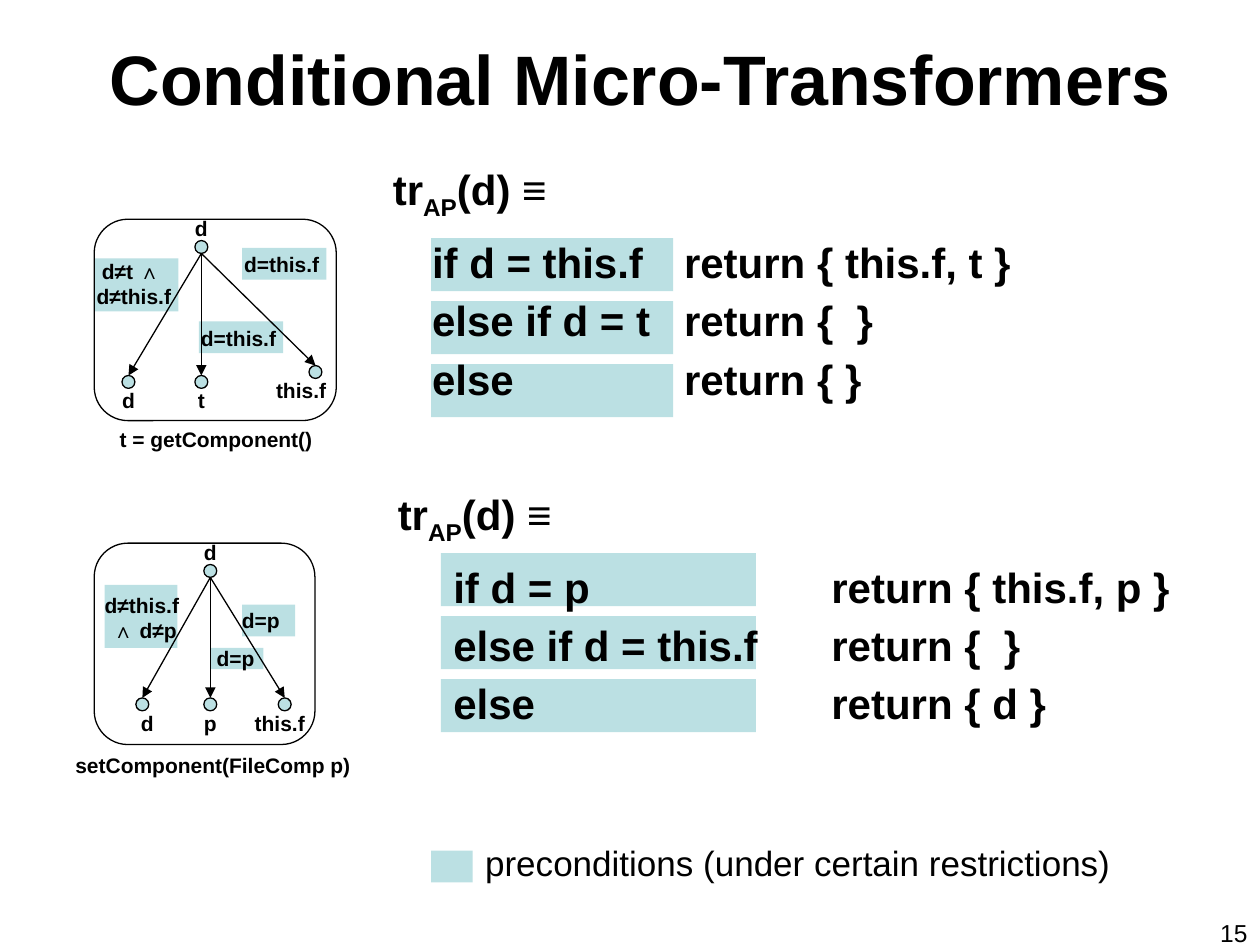
from dataclasses import dataclass

from lxml import etree
from pptx import Presentation
from pptx.dml.color import RGBColor
from pptx.enum.shapes import MSO_CONNECTOR, MSO_SHAPE
from pptx.enum.text import MSO_ANCHOR, MSO_AUTO_SIZE, PP_ALIGN
from pptx.oxml.ns import qn
from pptx.util import Cm, Pt

RECT, ROUND, OVAL = MSO_SHAPE.RECTANGLE, MSO_SHAPE.ROUNDED_RECTANGLE, MSO_SHAPE.OVAL
LINE = MSO_CONNECTOR.STRAIGHT
LEFT, MID, RIGHT = PP_ALIGN.LEFT, PP_ALIGN.CENTER, PP_ALIGN.RIGHT
TOP, CENTER = MSO_ANCHOR.TOP, MSO_ANCHOR.MIDDLE
FIT, FIXED = MSO_AUTO_SIZE.SHAPE_TO_FIT_TEXT, MSO_AUTO_SIZE.NONE


@dataclass(frozen=True)
class Theme:
    ink: RGBColor = RGBColor(0, 0, 0)
    tint: RGBColor = RGBColor(0xBB, 0xE0, 0xE3)
    face: str = "Arial"
    title: int = 40
    code: int = 24
    note: int = 20
    page: int = 14
    label: int = 12
    line: float = 0.75


class Board:
    """Draws on one slide; all lengths are in centimetres."""

    def __init__(self, slide, theme):
        self.shapes = slide.shapes
        self.theme = theme

    def shape(self, kind, x, y, w, h, fill=True, edge=False):
        item = self.shapes.add_shape(kind, Cm(x), Cm(y), Cm(w), Cm(h))
        item.shadow.inherit = False
        if fill:
            item.fill.solid()
            item.fill.fore_color.rgb = self.theme.tint
        else:
            item.fill.background()
        if edge:
            self.stroke(item.line)
        else:
            item.line.fill.background()
        return item

    def stroke(self, line):
        line.color.rgb = self.theme.ink
        line.width = Pt(self.theme.line)

    def arrow(self, x1, y1, x2, y2):
        item = self.shapes.add_connector(LINE, Cm(x1), Cm(y1), Cm(x2), Cm(y2))
        self.stroke(item.line)
        etree.SubElement(item.line._get_or_add_ln(), qn("a:tailEnd"), type="triangle")
        etree.SubElement(item._element.spPr, qn("a:effectLst"))

    def font(self, run, size, bold):
        form = {"name": self.theme.face, "size": Pt(size), "bold": bold}
        for key, value in form.items():
            setattr(run.font, key, value)
        run.font.color.rgb = self.theme.ink

    def text(self, x, y, w, h, lines, size, bold=True, wrap=True, anchor=TOP, **form):
        """Each line is a string or a list of (text, baseline) pairs."""
        frame = self.shapes.add_textbox(Cm(x), Cm(y), Cm(w), Cm(h)).text_frame
        frame.word_wrap = wrap
        frame.auto_size = FIXED if wrap else FIT
        frame.vertical_anchor = anchor
        for i, line in enumerate(lines):
            para = frame.add_paragraph() if i else frame.paragraphs[0]
            for key, value in form.items():
                setattr(para, key, value)
            parts = [(line, 0)] if isinstance(line, str) else line
            for words, base in parts:
                for j, piece in enumerate(words.split("\v")):
                    if j:
                        para.add_line_break()
                    run = para.add_run()
                    run.text = piece
                    self.font(run, size, bold)
                    if base:
                        run._r.get_or_add_rPr().set("baseline", str(base * 1000))
        return frame

    def label(self, x, y, words):
        """Small text centred on a point."""
        rows = words.split("\v")
        w = 0.7 + 0.2 * max(len(row) for row in rows)
        h = 0.25 + 0.51 * len(rows)
        self.text(x - w / 2, y - h / 2, w, h, [words], self.theme.label,
                  wrap=False, alignment=MID)

    def node(self, x, y):
        self.shape(OVAL, x - RAD, y - RAD, 2 * RAD, 2 * RAD, edge=True)

    def graph(self, box, root, leaves, tags, title):
        for spot, _, _, _ in tags:
            self.shape(RECT, *spot)
        x, y = root
        self.node(x, y)
        self.label(x, y - DROP, "d")
        for name, left, top, shift in leaves:
            self.node(left, top)
            self.label(left + shift, top + DROP, name)
            self.arrow(x, y + RAD, left, top - RAD)
        for _, left, top, words in tags:
            self.label(left, top, words)
        self.shape(ROUND, *box, fill=False, edge=True).adjustments[0] = 0.167
        left, top, width, words = title
        self.text(left, top, width, 0.76, [words], self.theme.label, wrap=False)

    def rules(self, head, bars, body, lines):
        """Function head above a block of lines with tinted conditions."""
        size = self.theme.code
        x, y, w = bars
        for i in range(len(lines)):
            self.shape(RECT, x, y + i * 1.27, w, 1.07)
        self.text(*head, 3.61, 1.42, [[("tr", 0), ("AP", -25), ("(d) ≡", 0)]],
                  size, wrap=False)
        frame = self.text(*body, 15.24, 3.53, lines, size,
                          line_spacing=0.9, space_before=Pt(7.5))
        for para in frame.paragraphs:
            tabs = etree.SubElement(para._p.get_or_add_pPr(), qn("a:tabLst"))
            for i in range(1, 8):
                etree.SubElement(tabs, qn("a:tab"), pos=str(Cm(2.54 * i)), algn="l")


RAD, DROP = 0.13, 0.37


def main():
    deck = Presentation()
    deck.slide_width, deck.slide_height = Cm(25.4), Cm(19.05)
    theme = Theme()
    board = Board(deck.slides.add_slide(deck.slide_layouts[6]), theme)

    board.text(0.84, 0.2, 24.13, 2.74, ["Conditional Micro-Transformers"],
               theme.title, anchor=CENTER, alignment=MID)

    board.graph(
        (1.9, 4.42, 4.88, 4.06), (4.06, 4.98),
        [("d", 2.59, 7.7, 0), ("t", 4.06, 7.7, 0), ("this.f", 6.36, 7.5, -0.29)],
        [((4.88, 5, 1.7, 0.64), 5.68, 5.33, "d=this.f"),
         ((4.01, 6.48, 1.7, 0.64), 4.81, 6.81, "d=this.f"),
         ((1.9, 5.21, 1.7, 1.07), 2.7, 5.72, "d≠t ∧ \vd≠this.f")],
        (2.16, 8.48, 4.5, "t = getComponent()"))
    board.graph(
        (1.9, 10.95, 4.45, 4.06), (4.24, 11.51),
        [("d", 2.87, 14.2, 0.1), ("p", 4.24, 14.2, 0), ("this.f", 5.74, 14.2, -0.1)],
        [((4.88, 12.19, 1.07, 0.64), 5.26, 12.5, "d=p"),
         ((4.24, 13.06, 1.07, 0.43), 4.75, 13.26, "d=p"),
         ((2.11, 11.79, 1.47, 1.27), 2.92, 12.45, "d≠this.f \v∧ d≠p")],
        (1.27, 15.04, 6.1, "setComponent(FileComp p)"))

    board.rules((7.67, 3.18), (8.69, 4.8, 4.88), (8.46, 4.75),
                ["if d = this.f \treturn { this.f, t }",
                 "else if d = t \treturn {  }",
                 "else \t\treturn { }"])
    board.rules((7.77, 9.73), (8.89, 11.15, 6.35), (8.89, 11.3),
                ["if d = p \t\treturn { this.f, p }",
                 "else if d = this.f\treturn {  }",
                 "else \t\t\treturn { d }"])

    board.shape(RECT, 8.69, 17.15, 0.84, 0.64)
    board.text(9.53, 16.94, 13.13, 1.07, ["preconditions (under certain restrictions)"],
               theme.note, bold=False, alignment=LEFT, line_spacing=0.9)
    board.text(19.48, 18.39, 5.92, 0.66, ["15"], theme.page, bold=False, alignment=RIGHT)
    deck.save("out.pptx")


if __name__ == "__main__":
    main()
